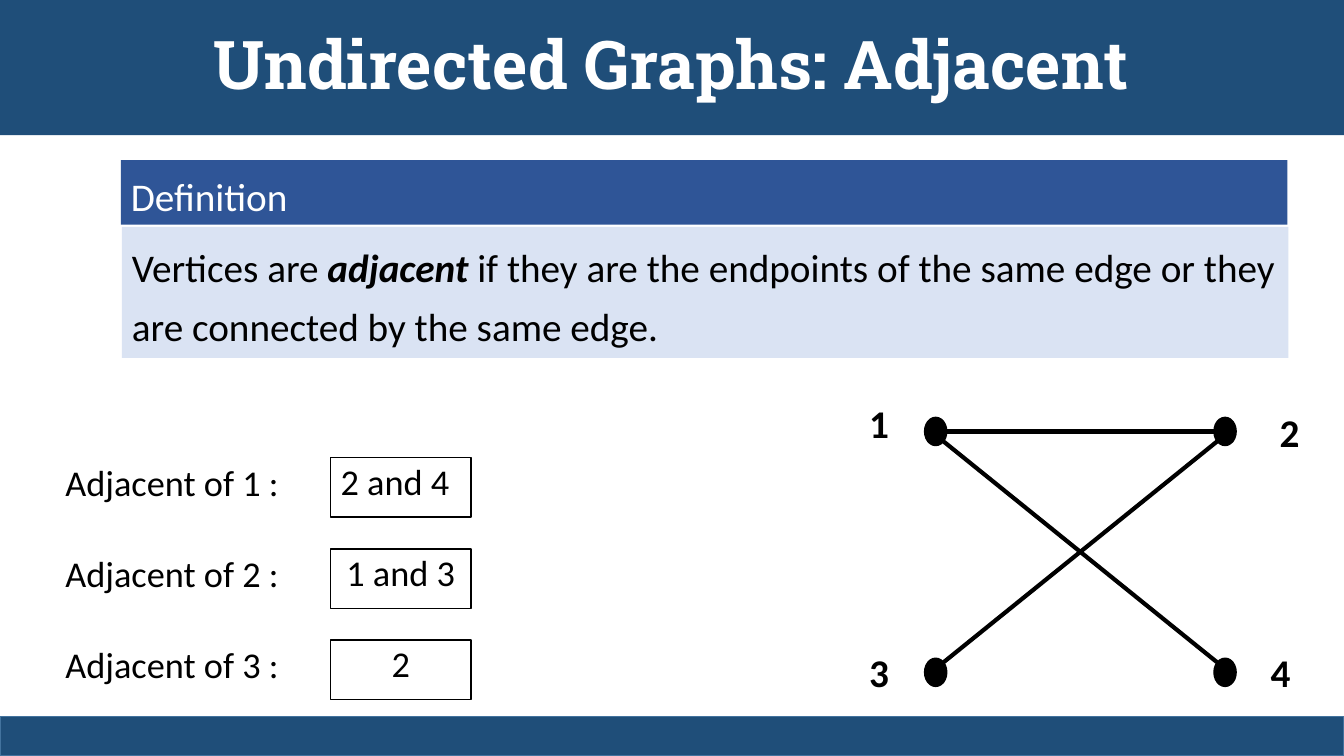
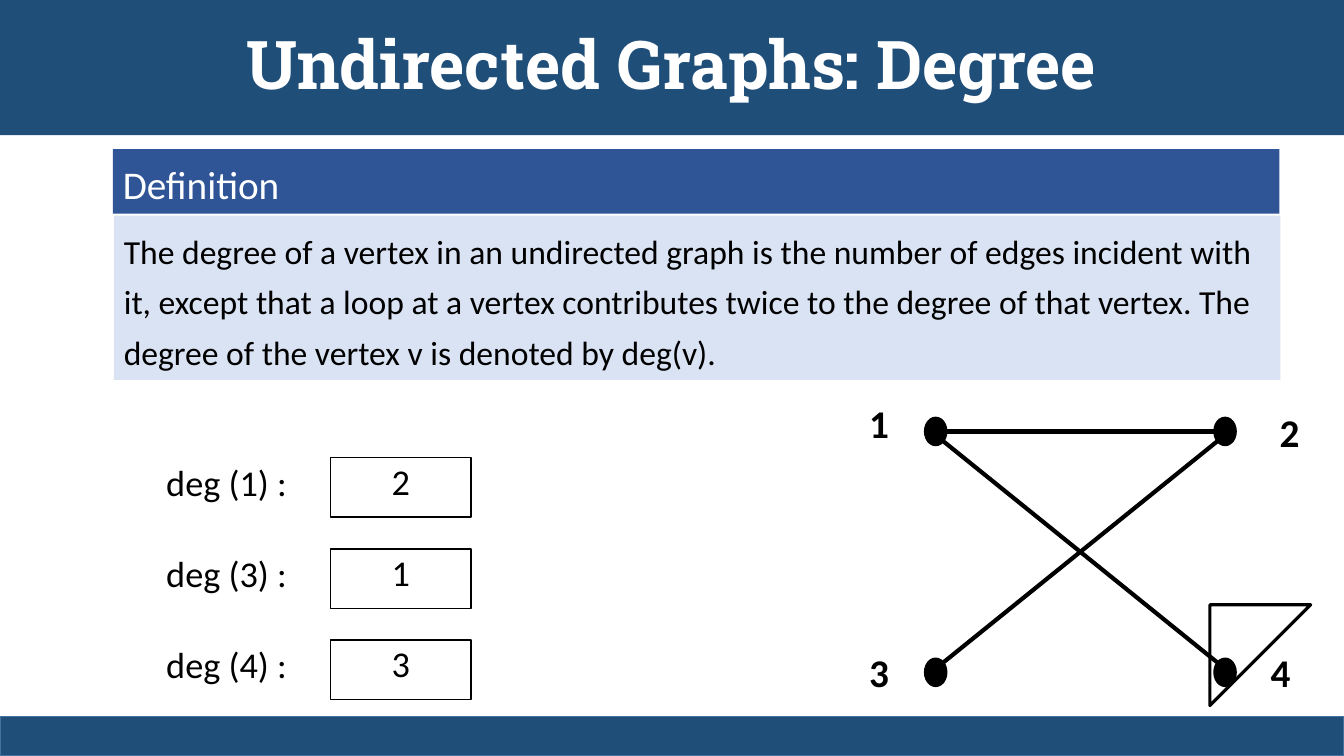
from lxml import etree
from pptx import Presentation
from pptx.dml.color import RGBColor
from pptx.enum import shapes, text
from pptx.oxml import ns
from pptx.util import Inches, Pt

BAND = RGBColor(0x1F, 0x4E, 0x79)
BAND_EDGE = RGBColor(0x43, 0x73, 0x9E)
HEADING = RGBColor(0x2F, 0x55, 0x97)
PANEL = RGBColor(0xDA, 0xE3, 0xF3)
WHITE = RGBColor(0xFF, 0xFF, 0xFF)
BLACK = RGBColor(0, 0, 0)

RECT = shapes.MSO_SHAPE.RECTANGLE
DOT = shapes.MSO_SHAPE.FLOWCHART_CONNECTOR
LEFT, CENTER = text.PP_ALIGN.LEFT, text.PP_ALIGN.CENTER
TOP, MIDDLE = text.MSO_ANCHOR.TOP, text.MSO_ANCHOR.MIDDLE

WIDTH, HEIGHT = 13.33, 7.5
FOOTER_HEIGHT = 0.39
DOT_WIDTH, DOT_HEIGHT = 0.22, 0.28
LABEL_SIZE = 0.44
ROW_TOP, ROW_STEP, ROW_HEIGHT = 4.54, 0.905, 0.59

VERTICES = {"1": (9.28, 4.28), "2": (12.15, 4.28),
            "3": (9.28, 6.67), "4": (12.15, 6.67)}
LABELS = {"1": (8.5, 3.98), "2": (12.57, 4.06),
          "3": (8.5, 6.45), "4": (12.48, 6.45)}
EDGES = [("1", "2"), ("3", "2"), ("1", "4")]
LOOP_START = (12.23, 6.69)
LOOP_CURVES = [((12.49, 6.51), (12.75, 6.34), (12.73, 6.23)),
               ((12.72, 6.13), (12.24, 6.01), (12.14, 6.08)),
               ((12.04, 6.15), (12.14, 6.55), (12.14, 6.64))]


def write(shape, words, size=28, color=BLACK, font="Calibri", bold=False,
          align=LEFT, anchor=TOP, spacing=1.0):
    """Fill a shape with one paragraph; words is a string or (string, emphasised) pairs."""
    frame = shape.text_frame
    frame.word_wrap = True
    frame.vertical_anchor = anchor
    paragraph = frame.paragraphs[0]
    paragraph.alignment = align
    paragraph.line_spacing = spacing
    for words_part, emphasis in [(words, False)] if isinstance(words, str) else words:
        run = paragraph.add_run()
        run.text = words_part
        run.font.name, run.font.size = font, Pt(size)
        run.font.color.rgb = color
        run.font.bold, run.font.italic = bold or emphasis, emphasis


def curve_points(start, curves, steps=16):
    """Points along a chain of cubic Bézier curves."""
    points = []
    for chain in curves:
        controls = (start, *chain)
        for step in range(1, steps + 1):
            t = step / steps
            weights = ((1 - t) ** 3, 3 * t * (1 - t) ** 2, 3 * t * t * (1 - t), t ** 3)
            points.append(tuple(sum(w * c[axis] for w, c in zip(weights, controls))
                                for axis in (0, 1)))
        start = chain[-1]
    return points


class Deck:
    def __init__(self):
        self.file = Presentation()
        self.file.slide_width, self.file.slide_height = Inches(WIDTH), Inches(HEIGHT)
        self.slide = None

    def new_slide(self, title):
        self.slide = self.file.slides.add_slide(self.file.slide_layouts[6])
        header = self.box(0, 0, WIDTH, 1.34, BAND)
        write(header, title, size=48, color=WHITE, font="Roboto Slab", bold=True,
              align=CENTER, anchor=MIDDLE, spacing=0.9)
        self.box(0, HEIGHT - FOOTER_HEIGHT, WIDTH, FOOTER_HEIGHT, BAND, BAND_EDGE)

    def box(self, left, top, width, height, fill=WHITE, line=None, kind=RECT):
        shape = self.slide.shapes.add_shape(
            kind, Inches(left), Inches(top), Inches(width), Inches(height))
        shape.shadow.inherit = False
        shape.fill.solid()
        shape.fill.fore_color.rgb = fill
        if line is None:
            shape.line.fill.background()
        else:
            shape.line.color.rgb = line
            shape.line.width = Pt(1)
        return shape

    def definition(self, left, top, height, words, size):
        heading = self.box(left, top, 11.57, 0.64, HEADING)
        write(heading, "Definition", color=WHITE, spacing=1.14)
        body = self.box(left + 0.01, top + 0.66, 11.57, height, PANEL)
        write(body, words, size=size, spacing=1.25)

    def questions(self, left, width, rows):
        """Rows of a prompt and its framed answer, each row (prompt, answer, alignment)."""
        for index, (prompt, answer, align) in enumerate(rows):
            top = ROW_TOP + index * ROW_STEP
            write(self.box(left, top + 0.01, width, ROW_HEIGHT), prompt,
                  size=25.9, spacing=0.94)
            write(self.box(3.28, top, 1.39, ROW_HEIGHT, line=BLACK), answer,
                  size=25.9, align=align, spacing=0.94)

    def edge(self, start, end):
        """Line between two vertices, trimmed to the rims of their dots."""
        (x1, y1), (x2, y2) = VERTICES[start], VERTICES[end]
        diagonal = 0.707 if y1 != y2 else 1
        trim_x = DOT_WIDTH / 2 * diagonal
        trim_y = DOT_HEIGHT / 2 * diagonal * ((y2 > y1) - (y2 < y1))
        line = self.slide.shapes.add_connector(
            shapes.MSO_CONNECTOR.STRAIGHT, Inches(x1 + trim_x), Inches(y1 + trim_y),
            Inches(x2 - trim_x), Inches(y2 - trim_y))
        line.line.color.rgb = BLACK
        line.line.width = Pt(3)
        etree.SubElement(line._element.spPr, ns.qn("a:effectLst"))

    def graph(self):
        for x, y in VERTICES.values():
            self.box(x - DOT_WIDTH / 2, y - DOT_HEIGHT / 2, DOT_WIDTH, DOT_HEIGHT,
                     BLACK, BLACK, DOT)
        for name, (left, top) in LABELS.items():
            write(self.box(left, top, LABEL_SIZE, LABEL_SIZE), name, bold=True,
                  align=CENTER, anchor=MIDDLE)
        for start, end in EDGES:
            self.edge(start, end)

    def loop(self):
        builder = self.slide.shapes.build_freeform(*LOOP_START, scale=Inches(1))
        builder.add_line_segments(curve_points(LOOP_START, LOOP_CURVES), close=False)
        outline = builder.convert_to_shape()
        outline.shadow.inherit = False
        outline.fill.background()
        outline.line.color.rgb = BLACK
        outline.line.width = Pt(2.25)


def main():
    deck = Deck()

    deck.new_slide("Undirected Graphs: Adjacent")
    deck.graph()
    deck.definition(1.2, 1.59, 1.3, [
        ("Vertices are ", False), ("adjacent", True),
        (" if they are the endpoints of the same edge or they are connected by "
         "the same edge.", False)], 28)
    deck.questions(0.55, 2.41, [("Adjacent of 1 :", "2 and 4", LEFT),
                                ("Adjacent of 2 :", "1 and 3", CENTER),
                                ("Adjacent of 3 :", "2", CENTER)])

    deck.new_slide("Undirected Graphs: Degree")
    deck.graph()
    deck.definition(
        1.12, 1.48, 1.63,
        "The degree of a vertex in an undirected graph is the number of edges incident "
        "with it, except that a loop at a vertex contributes twice to the degree of that "
        "vertex. The degree of the vertex v is denoted by deg(v).", 24)
    deck.questions(1.55, 1.42, [("deg (1) :", "2", CENTER),
                                ("deg (3) :", "1", CENTER),
                                ("deg (4) :", "3", CENTER)])
    deck.loop()

    deck.file.save("out.pptx")


if __name__ == "__main__":
    main()
